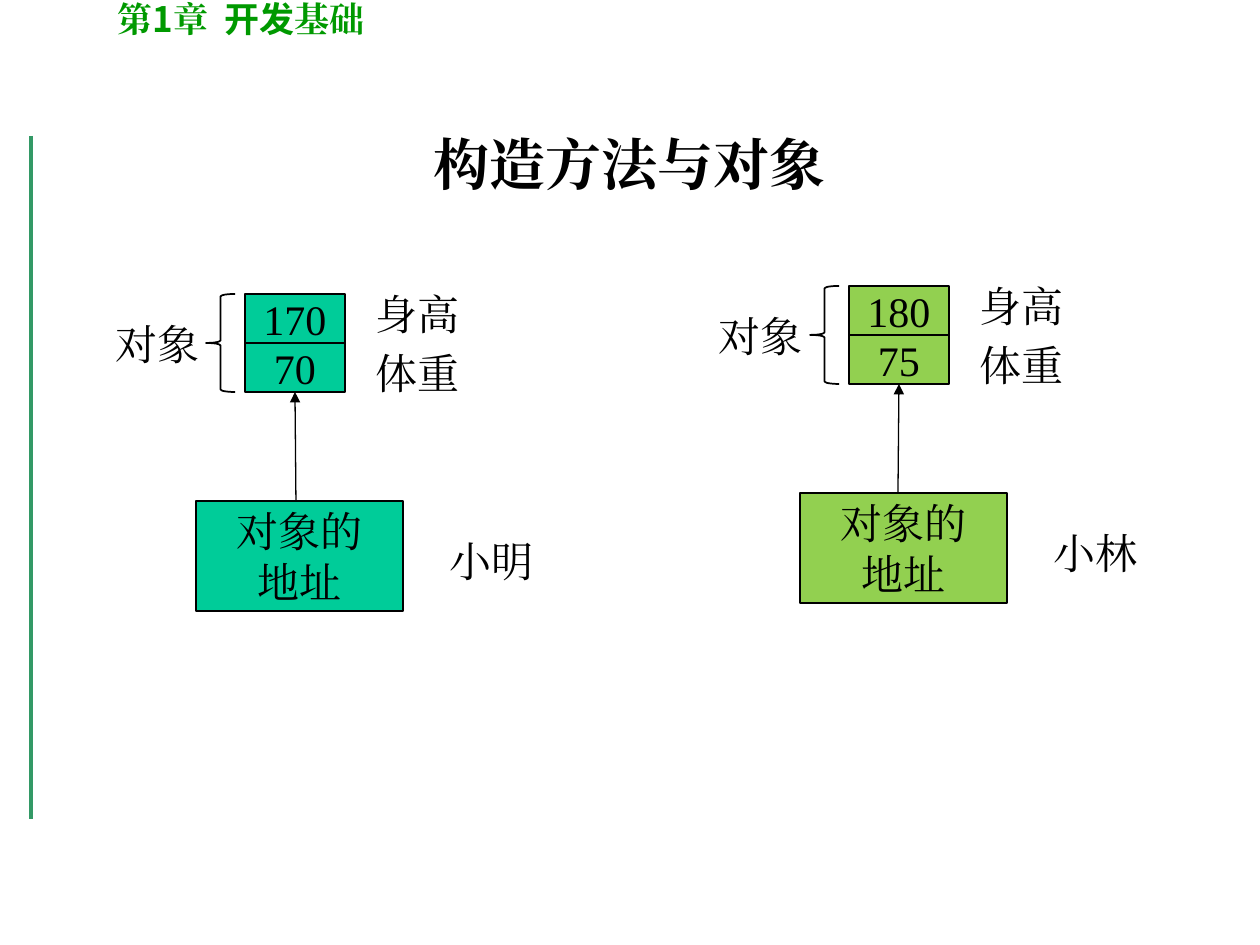
from lxml import etree
from pptx import Presentation
from pptx.dml.color import RGBColor
from pptx.enum import shapes, text
from pptx.oxml.ns import qn
from pptx import util as u

EMU_PER_PX = 914400 / 126
SERIF, SANS = "Times New Roman", "Noto Sans CJK SC"
BLACK, LINE_GREEN, HEADER_GREEN = "000000", "339966", "009900"


def px(*lengths):
    return [round(n * EMU_PER_PX) for n in lengths]


def rgb(value):
    return RGBColor.from_string(value)


class Board:
    """Text and line style, together with the current slide."""
    size = 24
    line_width = 0.75

    def __init__(self, slide):
        self.slide = slide

    def format_run(self, run, size, color, bold, face=SERIF):
        run.font.size, run.font.bold, run.font.name = u.Pt(size), bold, face
        run.font.color.rgb = rgb(color)
        east_asian = etree.SubElement(run.font._element, qn("a:ea"))
        east_asian.set("typeface", face)

    def set_words(self, shape, words, size=None, color=BLACK, bold=False,
                  align=text.PP_ALIGN.CENTER, wrap=False):
        frame = shape.text_frame
        frame.text = words
        frame.word_wrap = wrap
        frame.vertical_anchor = text.MSO_ANCHOR.MIDDLE
        for paragraph in frame.paragraphs:
            paragraph.alignment = align
            for run in paragraph.runs:
                self.format_run(run, size or self.size, color, bold)

    def label(self, words, x, y, w, h, **style):
        box = self.slide.shapes.add_textbox(*px(x, y, w, h))
        self.set_words(box, words, **style)

    def header(self, parts, x, y, w, h):
        box = self.slide.shapes.add_textbox(*px(x, y, w, h))
        box.text_frame.word_wrap = True
        paragraph = box.text_frame.paragraphs[0]
        for words, face in parts:
            run = paragraph.add_run()
            run.text = words
            self.format_run(run, 20, HEADER_GREEN, True, face)

    def box(self, words, fill, x, y, w, h):
        rect = self.slide.shapes.add_shape(
            shapes.MSO_SHAPE.RECTANGLE, *px(x, y, w, h))
        rect.shadow.inherit = False
        rect.fill.solid()
        rect.fill.fore_color.rgb = rgb(fill)
        rect.line.color.rgb = rgb(BLACK)
        rect.line.width = u.Pt(self.line_width)
        self.set_words(rect, words)
        return rect

    def brace(self, x, y, w, h):
        brace = self.slide.shapes.add_shape(
            shapes.MSO_SHAPE.LEFT_BRACE, *px(x, y, w, h))
        brace.shadow.inherit = False
        brace.fill.background()
        brace.line.color.rgb = rgb(BLACK)
        brace.line.width = u.Pt(1)

    def line(self, x1, y1, x2, y2, color=BLACK, width=None):
        line = self.slide.shapes.add_connector(
            shapes.MSO_CONNECTOR.STRAIGHT, *px(x1, y1, x2, y2))
        line.line.color.rgb = rgb(color)
        line.line.width = u.Pt(width or self.line_width)
        etree.SubElement(line._element.spPr, qn("a:effectLst"))
        return line

    def arrow(self, x1, y1, x2, y2, target):
        arrow = self.line(x1, y1, x2, y2)
        arrow.end_connect(target, 2)
        head = etree.SubElement(arrow.line._get_or_add_ln(), qn("a:tailEnd"))
        head.set("type", "triangle")

    def person(self, name, height, weight, fill, x, y, arrow_x):
        """One object, its two fields and the variable pointing at it."""
        cell_w, cell_h, address_y = 100, 49, 207
        self.box("对象的\n地址", fill, x + 98, y + address_y, 207, 110)
        self.box(height, fill, x + 147, y, cell_w, cell_h)
        weight_cell = self.box(weight, fill, x + 147, y + cell_h, cell_w, cell_h)
        self.arrow(arrow_x, y + address_y, x + 197, y + 2 * cell_h, weight_cell)
        for row, field in enumerate(("身高", "体重")):
            self.label(field, x + 256, y + 59 * row, 128, 39)
        self.brace(x + 108, y, 29, 2 * cell_h)
        self.label("对象", x, y + 30, 118, 39)
        self.label(name, x + 305, y + 247, 178, 39)


def main():
    deck = Presentation()
    deck.slide_width, deck.slide_height = px(1260, 945)
    board = Board(deck.slides.add_slide(deck.slide_layouts[6]))

    # Chapter header and side rule
    board.line(31, 136, 31, 819, LINE_GREEN, 2.25)
    board.header([("第", SERIF), ("1", SANS), ("章", SERIF),
                  ("  开发", SANS), ("基础", SERIF)], 105, -9, 725, 55)

    # Title
    board.label("构造方法与对象", 94, 84, 1071, 158, size=32, bold=True, wrap=True)

    # The two objects
    board.person("小林", "180", "75", "92D050", 702, 286, 898)
    board.person("小明", "170", "70", "00CC99", 98, 294, 296)

    deck.save("out.pptx")


if __name__ == "__main__":
    main()
